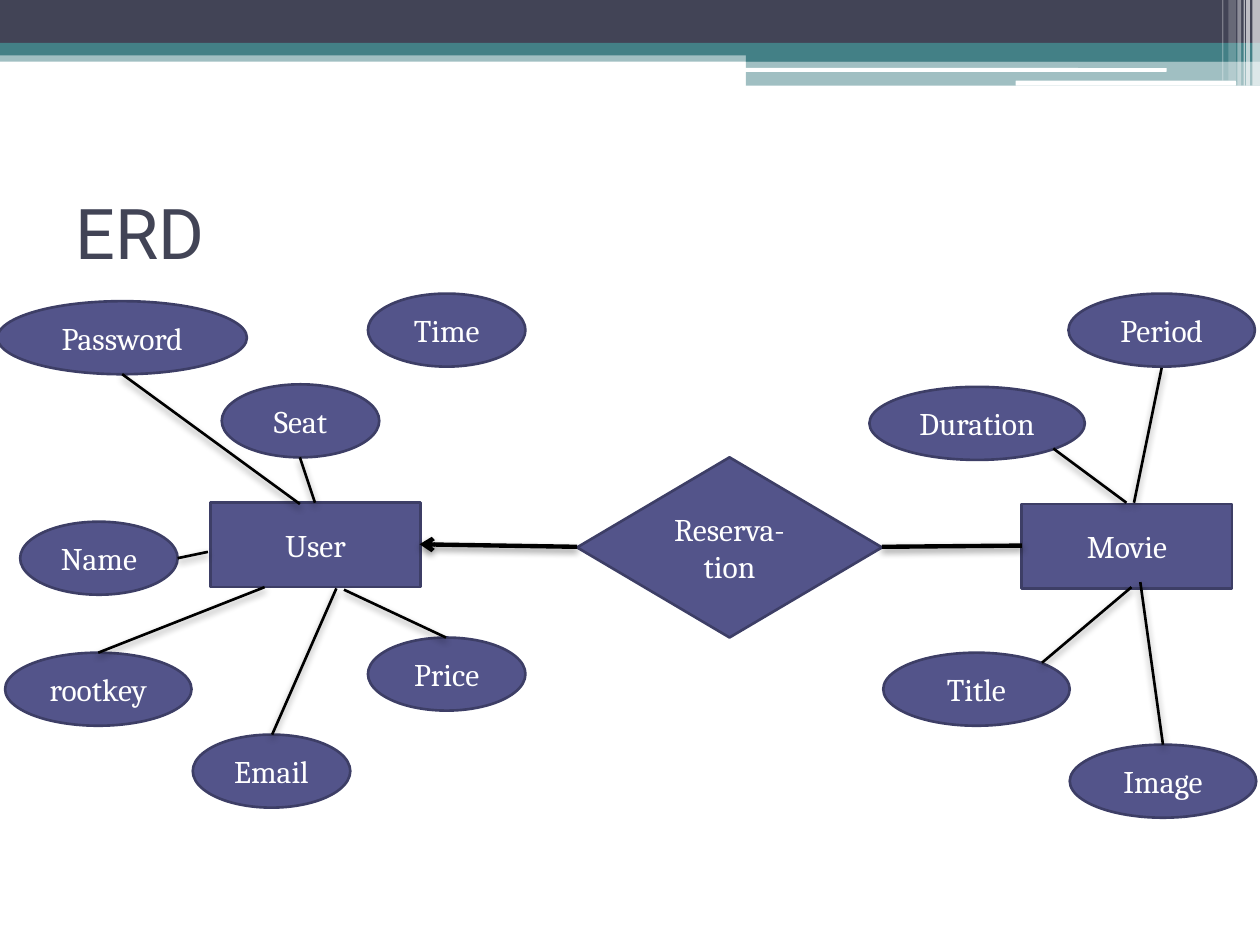
from dataclasses import dataclass

import lxml.etree
import pptx
import pptx.dml.color
import pptx.enum.shapes
import pptx.enum.text
import pptx.oxml
import pptx.oxml.ns
import pptx.util
from pptx.util import Inches

SHAPES = pptx.enum.shapes.MSO_SHAPE
ALIGN = pptx.enum.text.PP_ALIGN
MIDDLE = pptx.enum.text.MSO_ANCHOR.MIDDLE
NAVY, TEAL, WHITE, BLACK = "424456", "438086", "FFFFFF", "000000"
NODE_FILL, NODE_LINE = "53548A", "3D3E66"
OVAL_HEIGHT = 0.58


@dataclass
class Band:
    """A borderless piece of the header decoration."""
    left: float
    top: float
    width: float
    height: float
    color: str
    opacity: int = 100
    kind: SHAPES = SHAPES.RECTANGLE


@dataclass
class Node:
    """A labelled entity, relationship or attribute."""
    label: str
    left: float
    top: float
    width: float
    height: float = OVAL_HEIGHT
    kind: SHAPES = SHAPES.OVAL


@dataclass
class Link:
    """A straight line between two points."""
    start: tuple[float, float]
    end: tuple[float, float]
    weight: float = 1.5
    opacity: int = 40
    blur: float = 4.1
    arrow: bool = False


BANDS = [
    Band(0, 0.4, 10, 0.09, TEAL, 50),
    Band(0, 0, 10, 0.34, NAVY),
    Band(0, 0.34, 10, 0.1, TEAL),
    Band(5.92, 0.39, 4.08, 0.1, TEAL),
    Band(5.92, 0.48, 4.08, 0.2, TEAL, 50),
    Band(5.91, 0.54, 3.35, 0.03, WHITE, kind=SHAPES.ROUNDED_RECTANGLE),
    Band(8.06, 0.64, 1.75, 0.04, WHITE, kind=SHAPES.ROUNDED_RECTANGLE),
] + [
    Band(left, 0, width, height, WHITE, opacity)
    for left, width, height, opacity in [
        (9.94, 0.06, 0.68, 65), (9.89, 0.03, 0.68, 65), (9.87, 0.01, 0.68, 60),
        (9.82, 0.03, 0.68, 40), (9.75, 0.06, 0.64, 20), (9.7, 0.01, 0.64, 30),
    ]
]

NODES = [
    Node("User", 1.67, 3.99, 1.67, 0.67, SHAPES.RECTANGLE),
    Node("Movie", 8.11, 4, 1.67, 0.67, SHAPES.RECTANGLE),
    Node("Name", 0.16, 4.14, 1.25),
    Node("Password", -0.02, 2.39, 1.98),
    Node("rootkey", 0.04, 5.18, 1.48),
    Node("Email", 1.53, 5.83, 1.25),
    Node("Time", 2.92, 2.33, 1.25),
    Node("Seat", 1.76, 3.05, 1.25),
    Node("Price", 2.92, 5.06, 1.25),
    Node("Reserva-tion", 4.58, 3.63, 2.42, 1.43, SHAPES.FLOWCHART_DECISION),
    Node("Duration", 6.9, 3.07, 1.71),
    Node("Period", 8.48, 2.33, 1.48),
    Node("Image", 8.49, 5.91, 1.48),
    Node("Title", 7.01, 5.18, 1.48),
]

LINKS = [
    Link((8.11, 4.33), (7, 4.34), 2.5, 45, 4),
    Link((4.58, 4.34), (3.33, 4.32), 2.5, 45, 4, arrow=True),
    Link((2.5, 3.99), (2.38, 3.63)),
    Link((2.38, 4), (0.97, 2.97)),
    Link((3.54, 5.06), (2.73, 4.68)),
    Link((2.16, 5.83), (2.67, 4.67)),
    Link((0.78, 5.18), (2.1, 4.66)),
    Link((1.65, 4.38), (1.41, 4.43)),
    Link((8.94, 3.99), (8.36, 3.56)),
    Link((9, 3.99), (9.22, 2.92)),
    Link((8.27, 5.26), (8.98, 4.66)),
    Link((9.23, 5.91), (9.05, 4.62)),
]


def rgb(color: str) -> pptx.dml.color.RGBColor:
    """Turn a hex string into a colour."""
    return pptx.dml.color.RGBColor.from_string(color)


def add_child(parent, tag: str, **attributes):
    """Append a DrawingML element and return it."""
    child = lxml.etree.SubElement(parent, pptx.oxml.ns.qn(tag))
    for name, value in attributes.items():
        child.set(name, str(value))
    return child


def format_text(text_frame, size: float, font: str, color: str, alignment) -> None:
    """Align the text and set the font of every run."""
    text_frame.vertical_anchor = MIDDLE
    text_frame.word_wrap = True
    for paragraph in text_frame.paragraphs:
        paragraph.alignment = alignment
        for run in paragraph.runs:
            run.font.size = pptx.util.Pt(size)
            run.font.name = font
            run.font.color.rgb = rgb(color)


def add_filled_shape(slide, item: Band | Node, color: str):
    """Add a preset shape with a solid fill and no shadow."""
    shape = slide.shapes.add_shape(
        item.kind, Inches(item.left), Inches(item.top),
        Inches(item.width), Inches(item.height))
    shape.shadow.inherit = False
    shape.fill.solid()
    shape.fill.fore_color.rgb = rgb(color)
    return shape


def add_band(slide, band: Band) -> None:
    """Draw one header band."""
    shape = add_filled_shape(slide, band, band.color)
    shape.line.fill.background()
    if band.opacity < 100:
        fill_color = shape.fill._xPr.find(".//" + pptx.oxml.ns.qn("a:srgbClr"))
        add_child(fill_color, "a:alpha", val=band.opacity * 1000)


def add_node(slide, node: Node) -> None:
    """Draw one labelled node."""
    shape = add_filled_shape(slide, node, NODE_FILL)
    shape.line.color.rgb = rgb(NODE_LINE)
    shape.line.width = pptx.util.Pt(1.5)
    shape.text_frame.text = node.label
    format_text(shape.text_frame, 18, "Cambria", WHITE, ALIGN.CENTER)


def add_link(slide, link: Link) -> None:
    """Draw one line with its soft shadow and optional arrowhead."""
    connector = slide.shapes.add_connector(
        pptx.enum.shapes.MSO_CONNECTOR.STRAIGHT,
        *(Inches(value) for value in link.start + link.end))
    connector.line.color.rgb = rgb(BLACK)
    connector.line.width = pptx.util.Pt(link.weight)
    properties = connector._element.spPr
    if link.arrow:
        add_child(properties.find(pptx.oxml.ns.qn("a:ln")), "a:tailEnd", type="arrow")
    shadow = add_child(
        add_child(properties, "a:effectLst"), "a:outerShdw",
        blurRad=int(pptx.util.Pt(link.blur)), dist=int(pptx.util.Pt(2)),
        dir=90 * 60000, rotWithShape=0)
    shadow_color = add_child(shadow, "a:srgbClr", val=BLACK)
    add_child(shadow_color, "a:alpha", val=link.opacity * 1000)


def add_title(slide, text: str) -> None:
    """Place and format the title placeholder."""
    title = slide.shapes.title
    title.left, title.top = Inches(0.5), Inches(1.25)
    title.width, title.height = Inches(9), Inches(1.17)
    title.text_frame.text = text
    format_text(title.text_frame, 40, "Roboto", NAVY, ALIGN.LEFT)


def main() -> None:
    """Build the slide and save it."""
    presentation = pptx.Presentation()
    presentation.slide_width, presentation.slide_height = Inches(10), Inches(7.5)
    slide = presentation.slides.add_slide(presentation.slide_layouts[5])
    for band in BANDS:
        add_band(slide, band)
    add_title(slide, "ERD")
    for node in NODES:
        add_node(slide, node)
    for link in LINKS:
        add_link(slide, link)
    presentation.save("out.pptx")


main()
